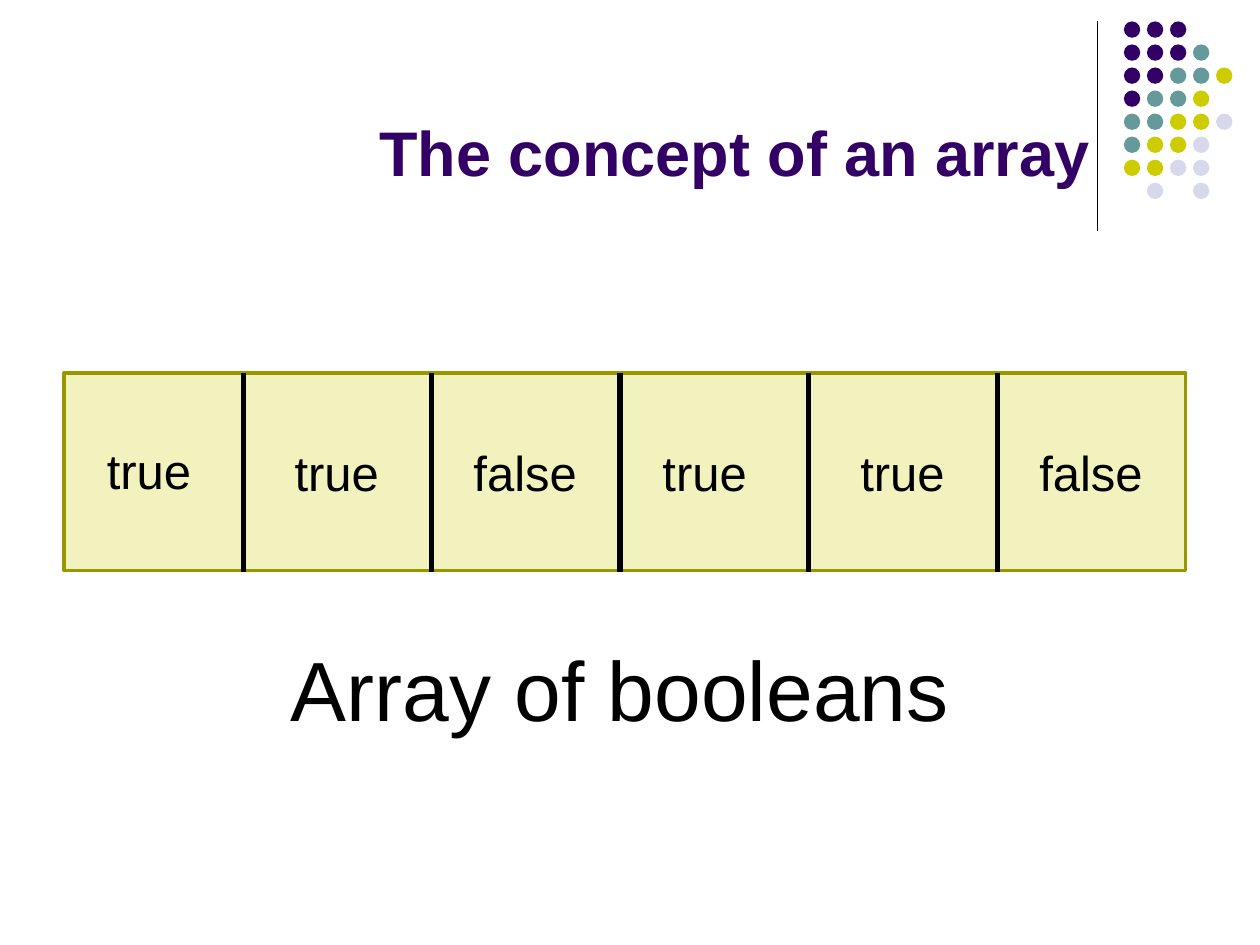
from lxml import etree
from pptx import Presentation
from pptx.dml.color import RGBColor
from pptx.enum.shapes import MSO_CONNECTOR as Connector, MSO_SHAPE as Shape
from pptx.enum.text import MSO_ANCHOR as Anchor, PP_ALIGN as Align
from pptx.oxml.ns import qn
from pptx.util import Inches, Pt

BLACK = RGBColor(0x00, 0x00, 0x00)
PURPLE = RGBColor(0x33, 0x00, 0x66)
TEAL = RGBColor(0x66, 0x99, 0x99)
YELLOW = RGBColor(0xCC, 0xCC, 0x00)
LAVENDER = RGBColor(0xD8, 0xD8, 0xEC)
OLIVE = RGBColor(0x97, 0x97, 0x00)

deck = Presentation()
deck.slide_width, deck.slide_height = Inches(10), Inches(7.5)
page = deck.slides.add_slide(deck.slide_layouts[6])


def add_vertical(x, top, bottom, weight):
    line = page.shapes.add_connector(
        Connector.STRAIGHT, Inches(x), Inches(top), Inches(x), Inches(bottom))
    line.line.color.rgb = BLACK
    line.line.width = Pt(weight)
    etree.SubElement(line._element.spPr, qn("a:effectLst"))


def add_text(text, left, top, width, height, size, align=Align.LEFT,
             color=BLACK, bold=False, anchor=Anchor.TOP):
    box = page.shapes.add_textbox(
        Inches(left), Inches(top), Inches(width), Inches(height))
    frame = box.text_frame
    frame.word_wrap = True
    frame.vertical_anchor = anchor
    frame.text = text
    para = frame.paragraphs[0]
    para.alignment = align
    font = para.runs[0].font
    font.name, font.size, font.bold = "Arial", Pt(size), bold
    font.color.rgb = color


# Corner ornament: a rule and a grid of dots
add_vertical(8.71, 0.17, 1.83, 0.75)
dot_colors = {"P": PURPLE, "T": TEAL, "Y": YELLOW, "L": LAVENDER}
dot_rows = ["PPP", "PPPT", "PPTTY", "PTTY", "TTYYL", "TYYL", "YYLL", ".L.L"]
dot_pitch = 1.28 / 7
for row, codes in enumerate(dot_rows):
    for column, code in enumerate(codes):
        if code not in dot_colors:
            continue
        dot = page.shapes.add_shape(
            Shape.OVAL, Inches(8.92 + column * dot_pitch),
            Inches(0.17 + row * dot_pitch), Inches(0.13), Inches(0.13))
        dot.shadow.inherit = False
        dot.fill.solid()
        dot.fill.fore_color.rgb = dot_colors[code]
        dot.line.fill.background()

# Title
add_text("The concept of an array", 0.5, 0.13, 8.25, 1.42, 36,
         Align.RIGHT, PURPLE, True, Anchor.BOTTOM)

# Array body with a translucent fill
array = page.shapes.add_shape(
    Shape.RECTANGLE, Inches(0.51), Inches(2.96), Inches(8.9), Inches(1.57))
array.shadow.inherit = False
array.fill.solid()
array.fill.fore_color.rgb = YELLOW
tint = array._element.spPr.find(qn("a:solidFill")).find(qn("a:srgbClr"))
etree.SubElement(tint, qn("a:alpha"), val="25000")
array.line.color.rgb = OLIVE
array.line.width = Pt(2)

# Cell dividers
for index in range(5):
    add_vertical(1.93 + index * 1.496, 2.96, 4.54, 3)

# Cell values: text, left, top, width
cells = [("true", 0.75, 3.45, 0.94), ("true", 2.24, 3.46, 0.94),
         ("false", 3.66, 3.46, 1.26), ("true", 5.16, 3.46, 0.94),
         ("true", 6.73, 3.46, 0.94), ("false", 8.15, 3.46, 1.1)]
for value, left, top, width in cells:
    add_text(value, left, top, width, 0.57, 28)

# Caption
add_text("Array of booleans", 1.93, 5.01, 5.98, 0.91, 48, Align.CENTER)

deck.save("out.pptx")
